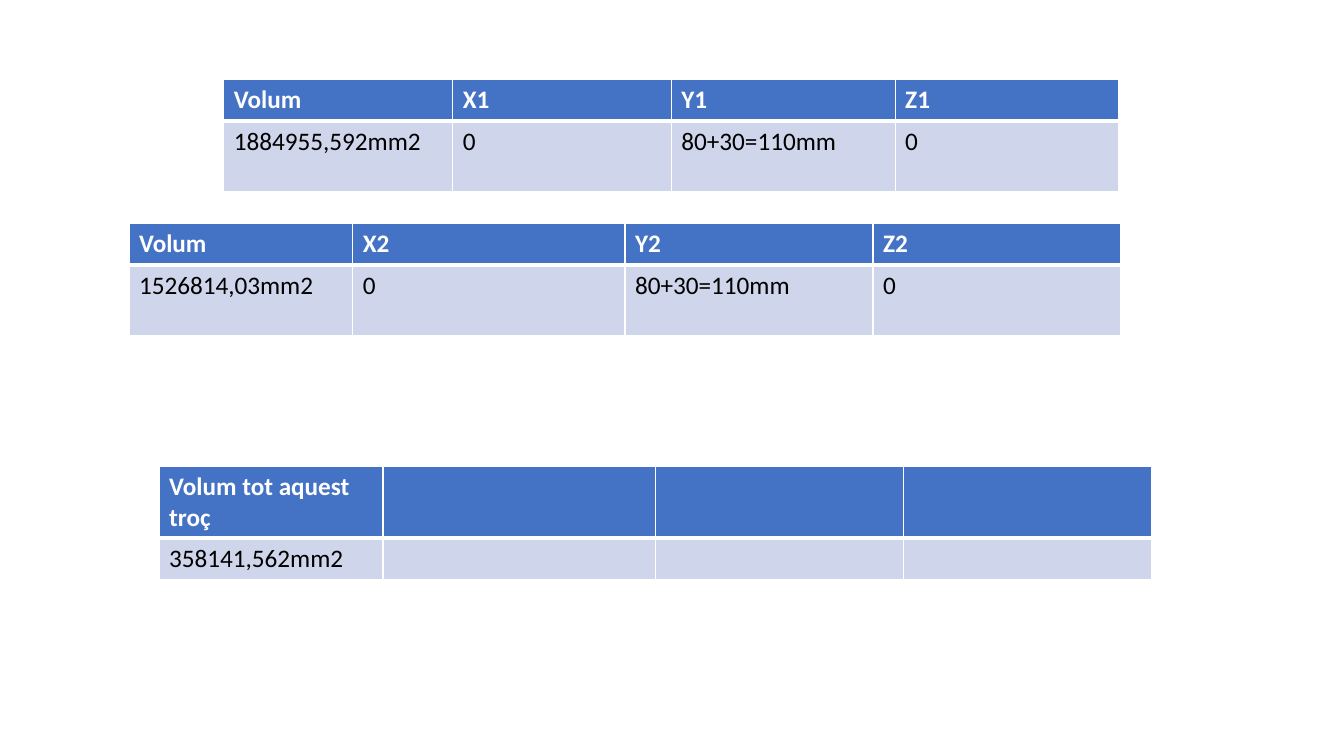
from dataclasses import dataclass

from lxml.etree import SubElement
from pptx import Presentation
from pptx.dml.color import RGBColor as Rgb
from pptx.oxml.ns import qn
from pptx.util import Cm, Pt


@dataclass(frozen=True)
class Theme:
    font: str = "Calibri"
    size: int = 18
    head: str = "4472C4"
    body: str = "CFD5EA"
    light: str = "FFFFFF"
    dark: str = "000000"
    thin: int = 1
    thick: int = 3


THEME = Theme()
LOW, TALL = 1.04, 1.78
WIDE = (5.64, 6.86, 6.25, 6.25)

# left, top, column widths, row heights, rows of text
TABLES = (
    (5.64, 2.01, (5.77, 5.51, 5.64, 5.64), (LOW, TALL),
     (("Volum", "X1", "Y1", "Z1"),
      ("1884955,592mm2", "0", "80+30=110mm", "0"))),
    (3.25, 5.64, WIDE, (LOW, TALL),
     (("Volum", "X2", "Y2", "Z2"),
      ("1526814,03mm2", "0", "80+30=110mm", "0"))),
    (4.01, 11.76, WIDE, (TALL, LOW),
     (("Volum tot aquest troç", "", "", ""),
      ("358141,562mm2", "", "", ""))),
)


def add_edges(cell, edges):
    """Draw the cell's borders, given as side: width in points."""
    props = cell._tc.get_or_add_tcPr()
    for side, width in edges.items():
        line = SubElement(props, qn(f"a:ln{side}"), w=str(Pt(width)))
        fill = SubElement(line, qn("a:solidFill"))
        SubElement(fill, qn("a:srgbClr"), val=THEME.light)


def fill_cell(cell, text, is_head):
    rule = "B" if is_head else "T"
    add_edges(cell, {side: THEME.thick if side == rule else THEME.thin
                     for side in "LRTB"})
    cell.fill.solid()
    cell.fill.fore_color.rgb = Rgb.from_string(
        THEME.head if is_head else THEME.body)
    cell.text = text
    font = cell.text_frame.paragraphs[0].font
    style = {"name": THEME.font, "size": Pt(THEME.size), "bold": is_head}
    for key, value in style.items():
        setattr(font, key, value)
    font.color.rgb = Rgb.from_string(THEME.light if is_head else THEME.dark)


def add_grid(slide, left, top, widths, heights, rows):
    table = slide.shapes.add_table(
        len(rows), len(widths), Cm(left), Cm(top),
        Cm(sum(widths)), Cm(sum(heights))).table
    for col, width in zip(table.columns, widths):
        col.width = Cm(width)
    for row, height in zip(table.rows, heights):
        row.height = Cm(height)
    for r, texts in enumerate(rows):
        for c, text in enumerate(texts):
            fill_cell(table.cell(r, c), text, r == 0)


def main():
    deck = Presentation()
    deck.slide_width, deck.slide_height = Cm(33.87), Cm(19.05)
    slide = deck.slides.add_slide(deck.slide_layouts[6])
    for spec_row in TABLES:
        add_grid(slide, *spec_row)
    deck.save("out.pptx")


if __name__ == "__main__":
    main()
